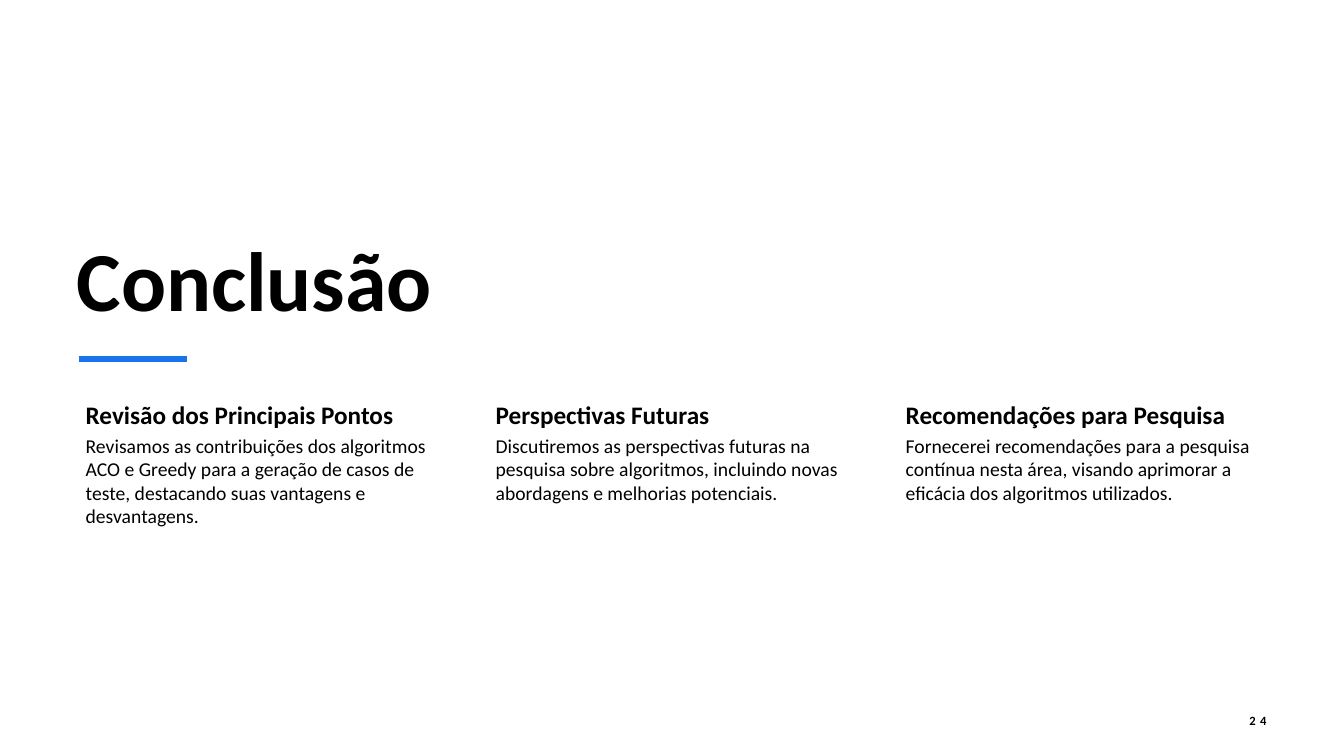
from pptx import Presentation
from pptx import util as u
from pptx.dml import color
from pptx.enum import shapes, text
from pptx.oxml import ns
from lxml import etree

INK = "000000"
BLUE = "1973EB"
POINTS = [
    ("Revisão dos Principais Pontos",
     "Revisamos as contribuições dos algoritmos ACO e Greedy para a geração de casos de teste, "
     "destacando suas vantagens e desvantagens."),
    ("Perspectivas Futuras",
     "Discutiremos as perspectivas futuras na pesquisa sobre algoritmos, "
     "incluindo novas abordagens e melhorias potenciais."),
    ("Recomendações para Pesquisa",
     "Fornecerei recomendações para a pesquisa contínua nesta área, "
     "visando aprimorar a eficácia dos algoritmos utilizados."),
]


def paint(code):
    """Turn a hex string into a colour."""
    return color.RGBColor.from_string(code)


def write(slide, words, box, size, bold=False, anchor="TOP", align="LEFT",
          inset=(0, 0, 0, 0), track=0):
    """Place formatted text in a box."""
    shape = slide.shapes.add_textbox(*map(u.Inches, box))
    frame = shape.text_frame
    frame.word_wrap = True
    frame.vertical_anchor = getattr(text.MSO_ANCHOR, anchor)
    (frame.margin_left, frame.margin_top,
     frame.margin_right, frame.margin_bottom) = map(u.Inches, inset)
    para = frame.paragraphs[0]
    para.alignment = getattr(text.PP_ALIGN, align)
    run = para.add_run()
    run.text = words
    font = run.font
    font.name, font.size, font.bold = "Calibri", u.Pt(size), bold
    font.color.rgb = paint(INK)
    if track:
        run._r.get_or_add_rPr().set("spc", str(track * 100))


def header(slide, left, top, width, height):
    """Draw the title and the accent rule below it."""
    write(slide, "Conclusão", (left, top, width, height), 60, bold=True,
          anchor="BOTTOM", inset=(0.06, 0, 0.06, 0))
    start, level = left + 0.08, top + height + 0.3
    rule = slide.shapes.add_connector(
        shapes.MSO_CONNECTOR.STRAIGHT,
        *map(u.Inches, (start, level, start + 1.07, level)))
    rule.line.color.rgb = paint(BLUE)
    rule.line.width = u.Pt(4.5)
    etree.SubElement(rule._element.spPr, ns.qn("a:effectLst"))


def column(slide, head, body, left, top, width, height):
    """Draw a heading with its paragraph below."""
    drop = 0.35
    write(slide, head, (left, top, width, drop), 18, bold=True,
          inset=(0.15, 0.03, 0.03, 0.03))
    write(slide, body, (left, top + drop, width, height - drop), 14,
          inset=(0.15, 0.02, 0.02, 0.02))


def columns(slide, left, top, width, height):
    """Spread the points over equal columns."""
    gap = 0.38
    wide = (width - gap * (len(POINTS) - 1)) / len(POINTS)
    for i, (head, body) in enumerate(POINTS):
        column(slide, head, body, left + i * (wide + gap), top, wide, height)


def footer(slide, left, top, width, height):
    """Draw the page number."""
    write(slide, "24", (left, top, width, height), 9, bold=True,
          anchor="MIDDLE", align="RIGHT", inset=(0.05, 0.05, 0.05, 0.05), track=3)


def main():
    """Build and save the slide."""
    deck = Presentation()
    deck.slide_width, deck.slide_height = u.Inches(13.33), u.Inches(7.5)
    slide = deck.slides.add_slide(deck.slide_layouts[6])
    header(slide, 0.7, 1.72, 8.93, 1.54)
    columns(slide, 0.7, 3.93, 11.82, 2.69)
    footer(slide, 11.82, 6.95, 0.79, 0.4)
    deck.save("out.pptx")


if __name__ == "__main__":
    main()
